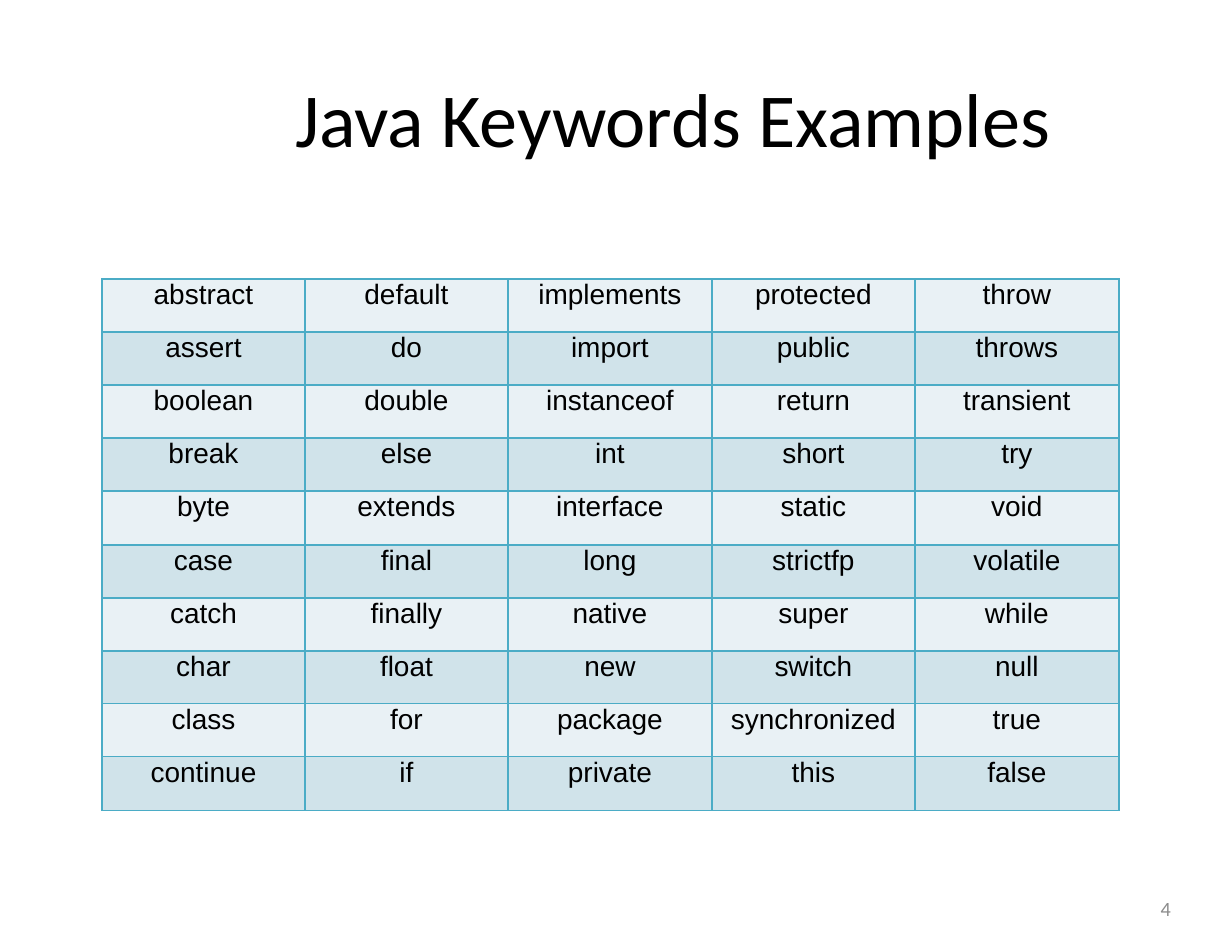
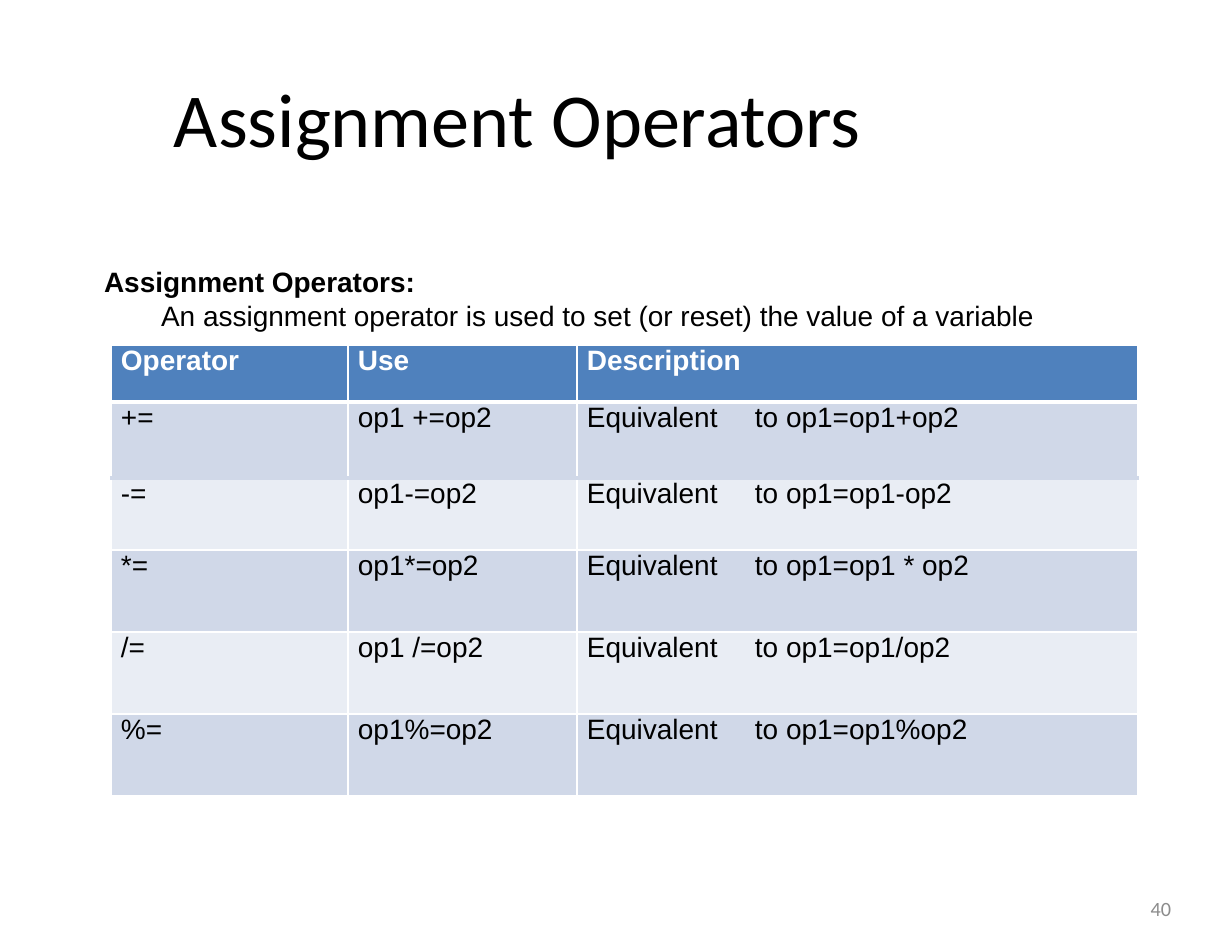
from dataclasses import dataclass
from typing import NamedTuple

from lxml.etree import SubElement
from pptx import Presentation
from pptx.dml.color import RGBColor as RGB
from pptx.enum.text import MSO_ANCHOR as Anchor, MSO_AUTO_SIZE as AutoSize, PP_ALIGN as Align
from pptx.oxml.ns import qn
from pptx.util import Emu, Pt

EMU_PER_PX = 914400 / 112
COLORS = {
    "text": "000000", "white": "FFFFFF", "number": "8C8C8C",
    "key_border": "4BACC6", "key_light": "E9F1F5", "key_dark": "D0E3EA",
    "header": "4F81BD", "op_dark": "D0D8E8", "op_light": "E9EDF4",
}
TITLE_ONLY = 5


class Box(NamedTuple):
    x: int
    y: int
    w: int
    h: int


class Line(NamedTuple):
    color: str
    width: float


@dataclass(frozen=True)
class TextStyle:
    size: int = 18
    font: str = "Arial"
    color: str = "text"
    bold: bool = False
    align: Align = Align.LEFT
    indent: int = 0
    tab: int = 0


@dataclass(frozen=True)
class CellStyle:
    text: TextStyle
    fill: str
    borders: dict[str, Line]
    margin_left: int = 0


TITLE_BOX = Box(62, 38, 1109, 159)
NUMBER_BOX = Box(883, 883, 288, 50)
NUMBER_STYLE = TextStyle(13, "Calibri", "number", align=Align.RIGHT)
FRAME_FORMAT = {
    "margin_left": 0, "margin_right": 0, "margin_top": 0, "margin_bottom": 0,
    "word_wrap": True, "auto_size": AutoSize.NONE,
}
CELL_FORMAT = {
    "margin_right": 0, "margin_top": 0, "margin_bottom": 0,
    "vertical_anchor": Anchor.TOP,
}


def px(value: int) -> Emu:
    return Emu(round(value * EMU_PER_PX))


def even(total: int, count: int) -> list[int]:
    """Split a length into nearly equal whole parts."""
    return [total * (i + 1) // count - total * i // count for i in range(count)]


def set_all(target, values: dict) -> None:
    for name, value in values.items():
        setattr(target, name, value)


# Text
def write(p, text: str, style: TextStyle) -> None:
    pPr = p._p.get_or_add_pPr()
    pPr.set("marL", str(px(style.indent)))
    pPr.set("indent", "0")
    if style.tab:
        tabs = SubElement(pPr, qn("a:tabLst"))
        SubElement(tabs, qn("a:tab"), pos=str(px(style.tab)), algn="l")
    p.alignment = style.align
    r = p.add_run()
    r.text = text
    set_all(r.font, {"size": Pt(style.size), "name": style.font, "bold": style.bold})
    r.font.color.rgb = RGB.from_string(COLORS[style.color])


def add_text(s, box: Box, lines: list[tuple[str, TextStyle]], anchor: Anchor) -> None:
    tf = s.shapes.add_textbox(*map(px, box)).text_frame
    set_all(tf, {**FRAME_FORMAT, "vertical_anchor": anchor})
    for i, (text, style) in enumerate(lines):
        write(tf.add_paragraph() if i else tf.paragraphs[0], text, style)


def add_slide(prs, title: str, align: Align, number: int):
    s = prs.slides.add_slide(prs.slide_layouts[TITLE_ONLY])
    sp = s.shapes.title
    set_all(sp, dict(zip(("left", "top", "width", "height"), map(px, TITLE_BOX))))
    set_all(sp.text_frame, {**FRAME_FORMAT, "vertical_anchor": Anchor.MIDDLE})
    style = TextStyle(49, "Calibri", align=align, indent=112)
    write(sp.text_frame.paragraphs[0], title, style)
    add_text(s, NUMBER_BOX, [(str(number), NUMBER_STYLE)], Anchor.MIDDLE)
    return s


# Tables
def fill_cell(cell, text: str, style: CellStyle) -> None:
    set_all(cell, {**CELL_FORMAT, "margin_left": px(style.margin_left)})
    tcPr = cell._tc.get_or_add_tcPr()
    for side in "LRTB":
        line = style.borders[side]
        ln = SubElement(tcPr, qn(f"a:ln{side}"), w=str(Pt(line.width)))
        solid = SubElement(ln, qn("a:solidFill"))
        SubElement(solid, qn("a:srgbClr"), val=COLORS[line.color])
    cell.fill.solid()
    cell.fill.fore_color.rgb = RGB.from_string(COLORS[style.fill])
    write(cell.text_frame.paragraphs[0], text, style.text)


def add_grid(s, x: int, y: int, widths: list[int], heights: list[int],
             rows: list[list[str]], style_at, header: bool) -> None:
    box = Box(x, y, sum(widths), sum(heights))
    table = s.shapes.add_table(len(heights), len(widths), *map(px, box)).table
    set_all(table, {"first_row": header, "horz_banding": False})
    for col, width in zip(table.columns, widths):
        col.width = px(width)
    for row, height in zip(table.rows, heights):
        row.height = px(height)
    for i, row in enumerate(rows):
        for j, text in enumerate(row):
            fill_cell(table.cell(i, j), text, style_at(i, j))


# Keywords slide
KEYWORDS = [row.split() for row in (
    "abstract default implements protected throw",
    "assert do import public throws",
    "boolean double instanceof return transient",
    "break else int short try",
    "byte extends interface static void",
    "case final long strictfp volatile",
    "catch finally native super while",
    "char float new switch null",
    "class for package synchronized true",
    "continue if private this false",
)]


def keyword_style(row: int, col: int) -> CellStyle:
    fill = "key_dark" if row % 2 else "key_light"
    borders = dict.fromkeys("LRTB", Line("key_border", 1.18))
    return CellStyle(TextStyle(align=Align.CENTER), fill, borders)


def build_keywords(prs) -> None:
    s = add_slide(prs, "Java Keywords Examples", Align.CENTER, 4)
    add_grid(s, 102, 279, even(1017, 5), even(532, 10), KEYWORDS, keyword_style, False)


# Operators slide
OPERATORS = [
    ["Operator", "Use", "Description"],
    *([op, use, f"Equivalent\tto {result}"] for op, use, result in (
        ("+=", "op1 +=op2", "op1=op1+op2"),
        ("-=", "op1-=op2", "op1=op1-op2"),
        ("*=", "op1*=op2", "op1=op1 * op2"),
        ("/=", "op1 /=op2", "op1=op1/op2"),
        ("%=", "op1%=op2", "op1=op1%op2"),
    )),
]
THIN = Line("white", 1.06)
EDGE = Line("white", 1.18)
ROW_LINES = [EDGE, Line("white", 3.1), Line("op_dark", 2.69)] + [THIN] * 4
COLUMN_LINES = [EDGE, EDGE, THIN, EDGE]


def operator_style(row: int, col: int) -> CellStyle:
    borders = {"L": COLUMN_LINES[col], "R": COLUMN_LINES[col + 1],
               "T": ROW_LINES[row], "B": ROW_LINES[row + 1]}
    if row == 0:
        return CellStyle(TextStyle(color="white", bold=True), "header", borders, 10)
    fill = "op_dark" if row % 2 else "op_light"
    return CellStyle(TextStyle(tab=157 if col == 2 else 0), fill, borders, 10)


def build_operators(prs) -> None:
    s = add_slide(prs, "Assignment Operators", Align.LEFT, 40)
    add_text(s, Box(104, 265, 960, 65), [
        ("Assignment Operators:", TextStyle(bold=True)),
        ("An assignment operator is used to set (or reset) the value of a variable",
         TextStyle(indent=57)),
    ], Anchor.TOP)
    add_grid(s, 111, 345, [237, 229, 561], [57, 76, 72] + [82] * 3,
             OPERATORS, operator_style, True)


def main() -> None:
    prs = Presentation()
    set_all(prs, {"slide_width": px(1232), "slide_height": px(952)})
    build_keywords(prs)
    build_operators(prs)
    prs.save("out.pptx")


if __name__ == "__main__":
    main()
